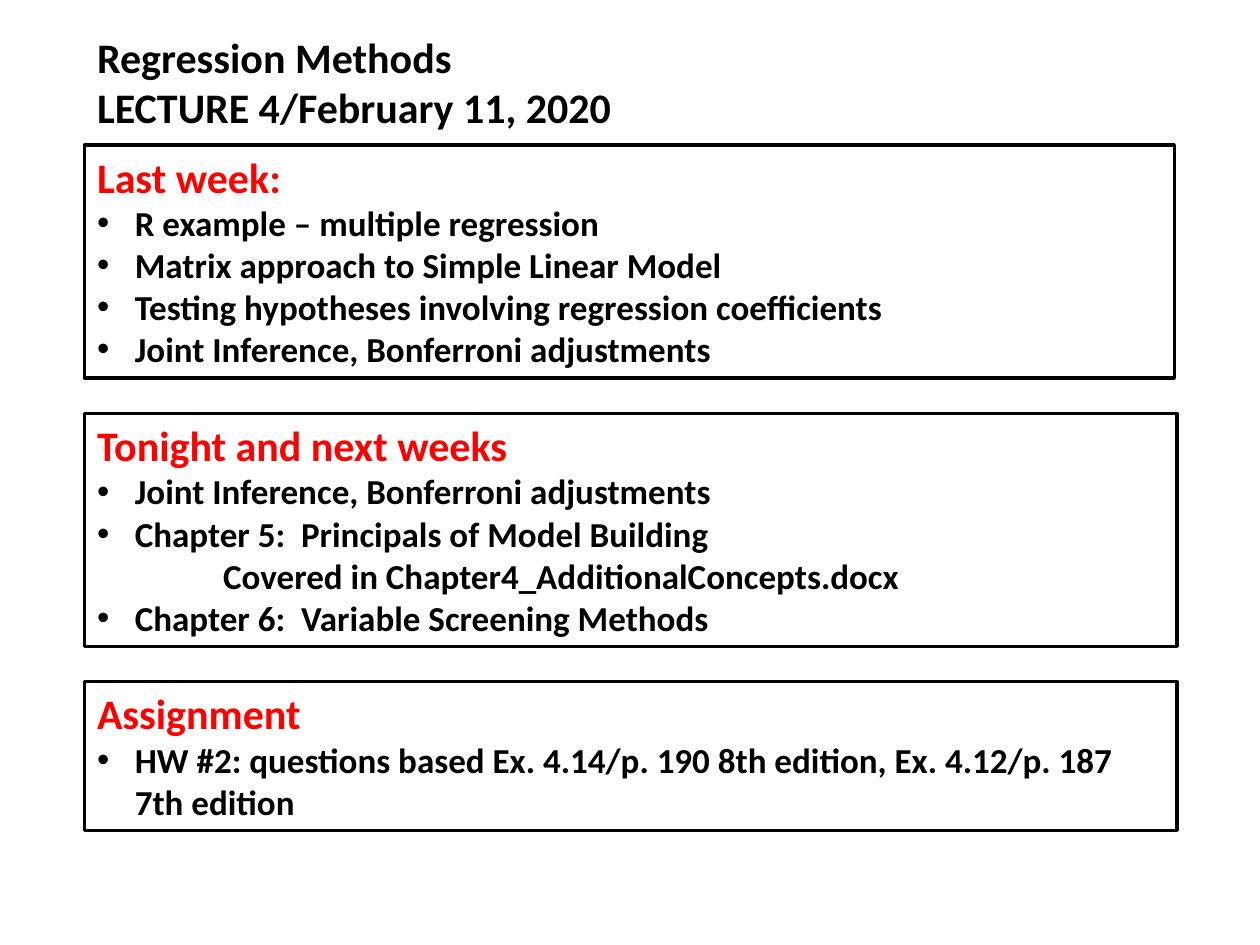
from lxml.etree import SubElement
from pptx import Presentation
from pptx.dml.color import RGBColor
from pptx.enum.text import MSO_ANCHOR, MSO_AUTO_SIZE, PP_ALIGN
from pptx.oxml.ns import qn
from pptx.util import Inches, Pt

COLORS = {"text": "000000", "heading": "FF0000", "box": "FFFFFF"}
COMPARISON_LAYOUT = 4
LEFT, FIRST_TOP, GAP = 0.67, 1.15, 0.28
HANG, NOTE_INDENT = 0.3, 1.0

# Each agenda box: width, height, heading, items as (text, is bulleted)
AGENDA = [
    (8.65, 1.85, "Last week:", [
        ("R example – multiple regression", True),
        ("Matrix approach to Simple Linear Model", True),
        ("Testing hypotheses involving regression coefficients", True),
        ("Joint Inference, Bonferroni adjustments", True),
    ]),
    (8.67, 1.85, "Tonight and next weeks", [
        ("Joint Inference, Bonferroni adjustments", True),
        ("Chapter 5:  Principals of Model Building", True),
        ("Covered in Chapter4_AdditionalConcepts.docx", False),
        ("Chapter 6:  Variable Screening Methods", True),
    ]),
    (8.67, 1.18, "Assignment", [
        ("HW #2: questions based Ex. 4.14/p. 190 8th edition, "
         "Ex. 4.12/p. 187 7th edition", True),
    ]),
]


class LectureSlide:
    font = "Calibri"
    heading_size = 24
    item_size = 20

    def __init__(self, slide):
        self.slide = slide
        self.bodies = [p for p in slide.placeholders
                       if 1 <= p.placeholder_format.idx <= 4]

    def place(self, holder, top, width, height):
        holder.left, holder.top = Inches(LEFT), Inches(top)
        holder.width, holder.height = Inches(width), Inches(height)
        frame = holder.text_frame
        frame.word_wrap = True
        frame.auto_size = MSO_AUTO_SIZE.NONE
        frame.vertical_anchor = MSO_ANCHOR.TOP
        return frame

    def style(self, paragraph, size, color, margin=0, bullet=False):
        properties = paragraph._p.get_or_add_pPr()
        properties.set("marL", str(Inches(margin)))
        properties.set("indent", str(-Inches(margin) if bullet else 0))
        if bullet:
            SubElement(properties, qn("a:buFont"), typeface="Arial")
            SubElement(properties, qn("a:buChar"), char="•")
        else:
            SubElement(properties, qn("a:buNone"))
        paragraph.alignment = PP_ALIGN.LEFT
        paragraph.line_spacing = 1.0
        paragraph.space_before = paragraph.space_after = Pt(0)
        for run in paragraph.runs:
            run.font.name = self.font
            run.font.size = Pt(size)
            run.font.bold = True
            run.font.color.rgb = RGBColor.from_string(COLORS[color])

    def title(self, text, top, width, height):
        frame = self.place(self.slide.shapes.title, top, width, height)
        frame.text = text
        for paragraph in frame.paragraphs:
            self.style(paragraph, self.heading_size, "text")

    def agenda_box(self, top, width, height, heading, items):
        body = self.bodies.pop(0)
        frame = self.place(body, top, width, height)
        body.fill.solid()
        body.fill.fore_color.rgb = RGBColor.from_string(COLORS["box"])
        body.line.color.rgb = RGBColor.from_string(COLORS["text"])
        body.line.width = Pt(2)
        frame.text = heading
        self.style(frame.paragraphs[0], self.heading_size, "heading")
        for text, bulleted in items:
            item = frame.add_paragraph()
            item.text = text
            margin = HANG if bulleted else NOTE_INDENT
            self.style(item, self.item_size, "text", margin, bulleted)

    def remove_unused(self):
        for body in self.bodies:
            body.element.getparent().remove(body.element)


def main():
    deck = Presentation()
    deck.slide_width, deck.slide_height = Inches(10), Inches(7.5)
    layout = deck.slide_layouts[COMPARISON_LAYOUT]
    lecture = LectureSlide(deck.slides.add_slide(layout))
    lecture.title("Regression Methods\nLECTURE 4/February 11, 2020", 0.2, 8, 0.91)
    top = FIRST_TOP
    for width, height, heading, items in AGENDA:
        lecture.agenda_box(top, width, height, heading, items)
        top += height + GAP
    lecture.remove_unused()
    deck.save("out.pptx")


if __name__ == "__main__":
    main()
